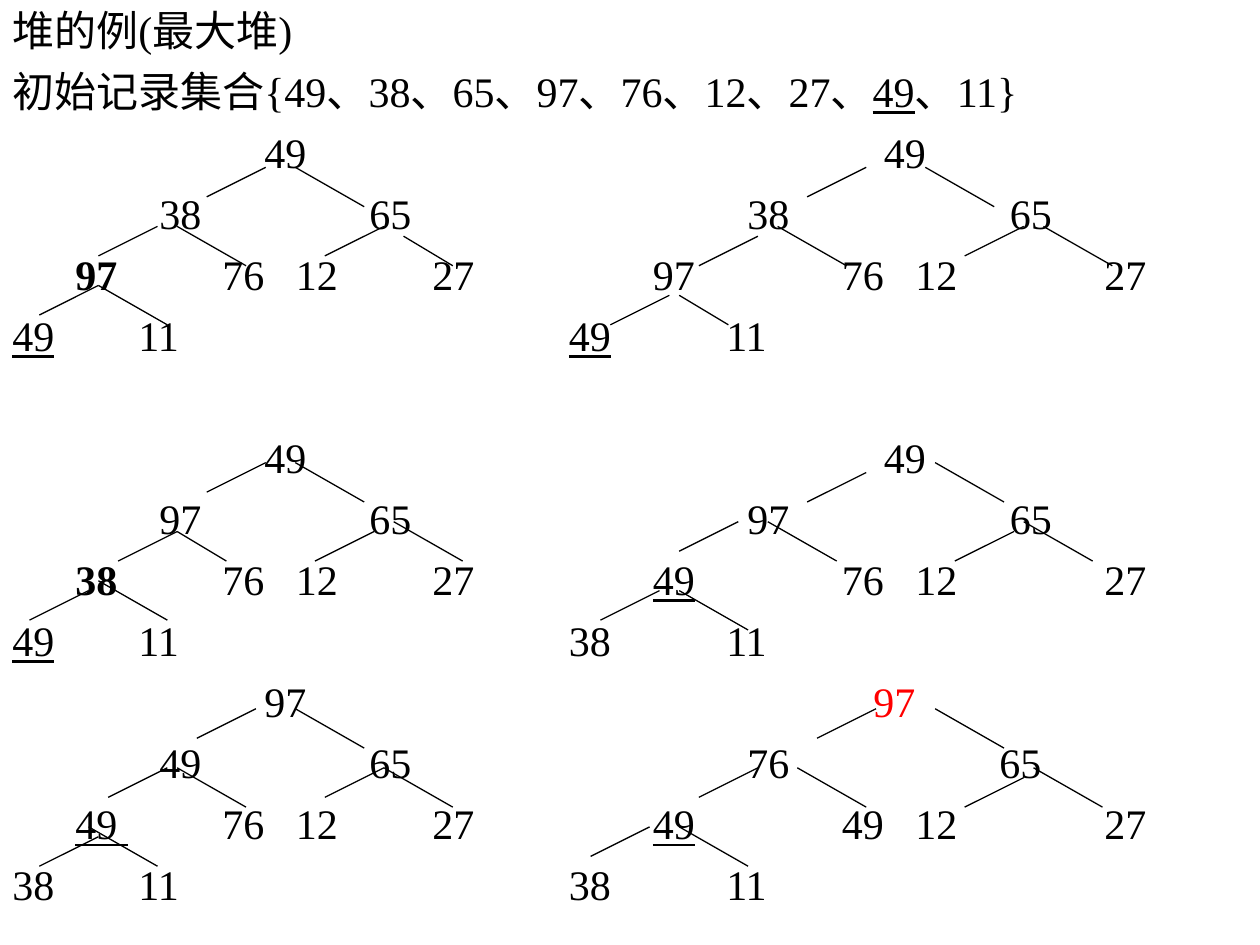
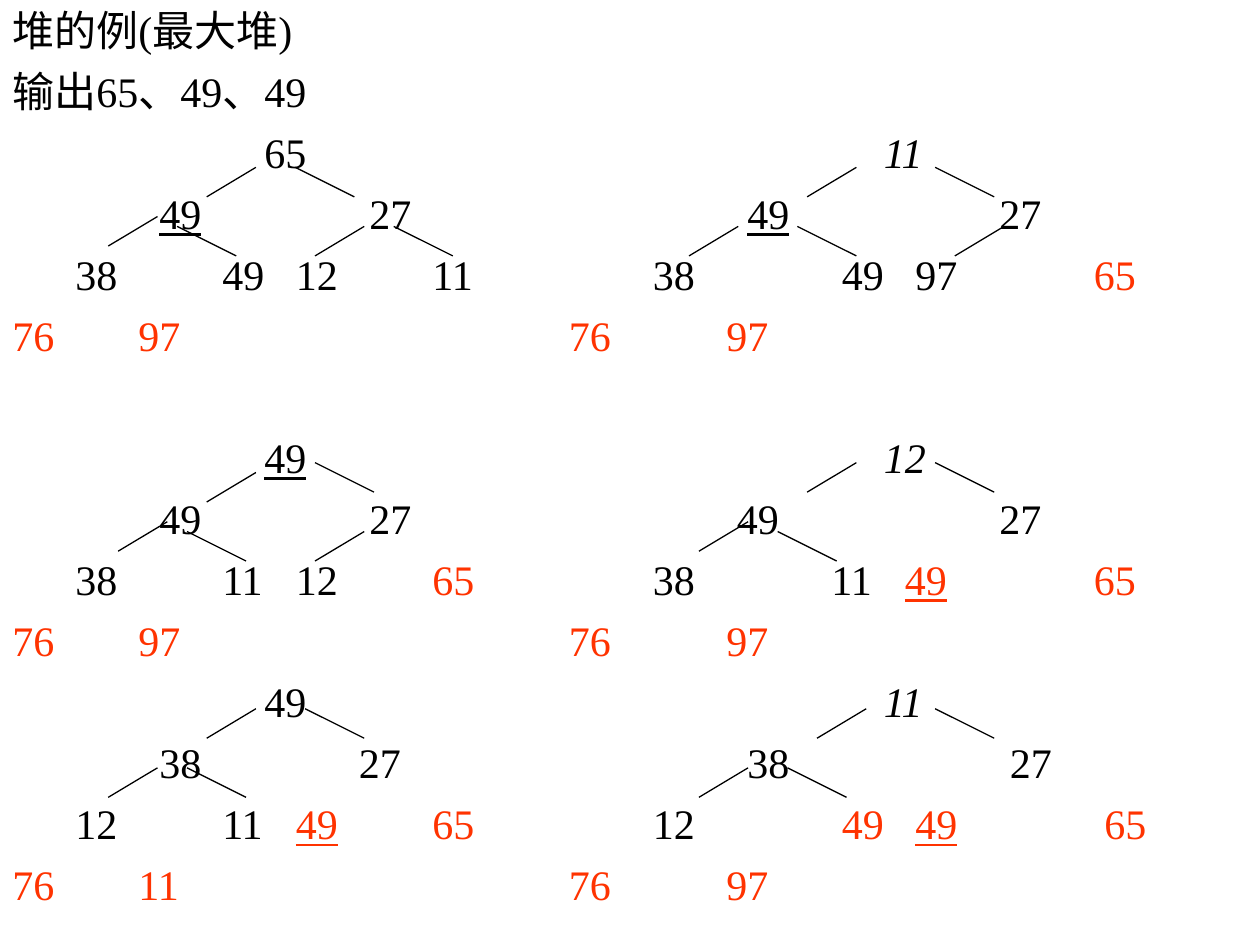
"""Build two slides that trace a max-heap through its sort steps."""
from dataclasses import dataclass
from typing import NamedTuple

from lxml.etree import SubElement as Sub
from pptx import Presentation as Deck
from pptx.dml.color import RGBColor as Rgb
from pptx.enum.shapes import MSO_CONNECTOR as Link
from pptx.enum.text import MSO_ANCHOR as Anchor
from pptx.oxml.ns import qn
from pptx.util import Emu

SCALE = 914400 / 384


@dataclass(frozen=True)
class Theme:
    face: str = "Times New Roman"
    size: int = 128
    ink: str = "000000"
    cell: int = 32
    step: int = 30
    pitch: int = 186
    edge: int = 4


class Box(NamedTuple):
    left: int
    top: int
    wide: int
    high: int


class Fan(NamedTuple):
    run: int
    drop: int
    starts: list[tuple[int, int]]


class Page(NamedTuple):
    hot: str
    rows: list[str]
    fans: list[Fan]


THEME = Theme()
TITLE = "堆的例(最大堆)"
HEAD = Box(0, 0, 3264, 180)
BODY = Box(0, 168, 3720, 2700)
MARKS = {"*": "bold", "_": "underline", "/": "italic"}

BUILD = Page(
    "FF0000",
    [
        "0=初始记录集合{49、38、65、97、76、12、27、|0=_49|0=、11}",
        "24=49|83=49",
        "14=38|34=65|70=38|95=65",
        "6=*97|20=76|27=12|40=27|61=97|79=76|86=12|104=27",
        "0=_49|12=11|53=_49|68=11",
        "",
        "24=49|83=49",
        "14=97|34=65|70=97|95=65",
        "6=*38|20=76|27=12|40=27|61=_49|79=76|86=12|104=27",
        "0=_49|12=11|53=38|68=11",
        "24=97|82=!97",
        "14=49|34=65|70=76|94=65",
        "6=_49 |20=76|27=12|40=27|61=_49|79=49|86=12|104=27",
        "0=38|12=11|53=38|68=11",
    ],
    [
        Fan(-6, 3, [
            (27, 17), (16, 23), (10, 29), (39, 23),
            (88, 17), (77, 24), (68, 30), (104, 23),
            (27, 47), (18, 54), (9, 60), (38, 54),
            (88, 48), (75, 53), (67, 60), (103, 54),
            (26, 72), (17, 78), (10, 85), (39, 78),
            (89, 72), (77, 78), (66, 84), (104, 79),
        ]),
        Fan(7, 4, [
            (30, 17), (18, 23), (10, 29),
            (94, 17), (79, 23), (106, 23),
            (30, 47), (40, 53), (10, 59),
            (95, 47), (78, 53), (69, 60), (104, 53),
            (30, 72), (18, 78), (9, 84), (39, 78),
            (95, 72), (81, 78), (69, 84), (105, 78),
        ]),
        Fan(5, 3, [(41, 24), (69, 30), (18, 54)]),
    ],
)

DRAIN = Page(
    "FF3300",
    [
        "0=输出65、49、49",
        "24=65|83=/11",
        "14=_49|34=27|70=_49|94=27",
        "6=38|20=49|27=12|40=11|61=38|79=49|86=97|103=!65",
        "0=!76|12=!97|53=!76|68=!97",
        "",
        "24=_49|83=/12",
        "14=49|34=27|69=49|94=27",
        "6=38|20=11|27=12|40=!65|61=38|78=11|85=!_49|103=!65",
        "0=!76|12=!97|53=!76|68=!97",
        "24=49|83=/11",
        "14=38|33=27|70=38|95=27",
        "6=12|20=11|27=!_49|40=!65|61=12|79=!49|86=!_49|104=!65",
        "0=!76|12=!11|53=!76|68=!97",
    ],
    [
        Fan(-5, 3, [
            (26, 17), (16, 22), (37, 23),
            (87, 17), (75, 23), (102, 23),
            (26, 48), (17, 53), (37, 54),
            (87, 47), (76, 53),
            (26, 72), (16, 78), (88, 72), (76, 78),
        ]),
        Fan(6, 3, [
            (30, 17), (18, 23), (40, 23), (95, 17), (81, 23),
            (32, 47), (19, 54), (95, 47), (79, 54),
            (31, 72), (19, 78), (95, 72), (80, 78),
        ]),
    ],
)


def px(size: int) -> Emu:
    return Emu(round(size * SCALE))


def dress(font, ink: str = THEME.ink) -> None:
    font.name = THEME.face
    font.size = px(THEME.size)
    font.color.rgb = Rgb.from_string(ink)


def add_run(para, text: str, hot: str) -> None:
    run = para.add_run()
    ink = THEME.ink
    while text[0] in "*_/!":
        if text[0] == "!":
            ink = hot
        else:
            setattr(run.font, MARKS[text[0]], True)
        text = text[1:]
    run.text = text
    dress(run.font, ink)


def add_box(slide, box: Box):
    frame = slide.shapes.add_textbox(*map(px, box)).text_frame
    frame.word_wrap = True
    return frame


def set_tabs(para, cols: list[int]) -> None:
    tabs = Sub(para._p.get_or_add_pPr(), qn("a:tabLst"))
    for col in cols:
        Sub(tabs, qn("a:tab"), pos=str(px(col * THEME.cell)), algn="l")


def add_row(para, row: str, hot: str, gap: int) -> None:
    cells = [cell.split("=") for cell in row.split("|")]
    cols = [int(col) for col, _ in cells if int(col)]
    if cols:
        set_tabs(para, cols)
    para.line_spacing = px(THEME.pitch)
    para.space_before = px(gap)
    dress(para.font)
    for col, text in cells:
        if int(col):
            add_run(para, "\t", hot)
        add_run(para, text, hot)


def add_rows(slide, page: Page) -> None:
    frame = add_box(slide, BODY)
    frame.margin_top = 0
    para, gap = frame.paragraphs[0], 0
    for row in page.rows:
        if not row:
            gap = THEME.pitch
            continue
        if para.runs:
            para = frame.add_paragraph()
        add_row(para, row, page.hot, gap)
        gap = 0


def add_fan(slide, fan: Fan) -> None:
    for x, y in fan.starts:
        ends = (x, y, x + fan.run, y + fan.drop)
        line = slide.shapes.add_connector(
            Link.STRAIGHT, *(px(end * THEME.step) for end in ends))
        line.line.color.rgb = Rgb.from_string(THEME.ink)
        line.line.width = px(THEME.edge)
        Sub(line._element.spPr, qn("a:effectLst"))


def add_page(deck, page: Page) -> None:
    slide = deck.slides.add_slide(deck.slide_layouts[6])
    frame = add_box(slide, HEAD)
    frame.vertical_anchor = Anchor.MIDDLE
    para = frame.paragraphs[0]
    dress(para.font)
    add_run(para, TITLE, page.hot)
    add_rows(slide, page)
    for fan in page.fans:
        add_fan(slide, fan)


def main() -> None:
    deck = Deck()
    deck.slide_width, deck.slide_height = px(3840), px(2880)
    for page in (BUILD, DRAIN):
        add_page(deck, page)
    deck.save("out.pptx")


if __name__ == "__main__":
    main()
